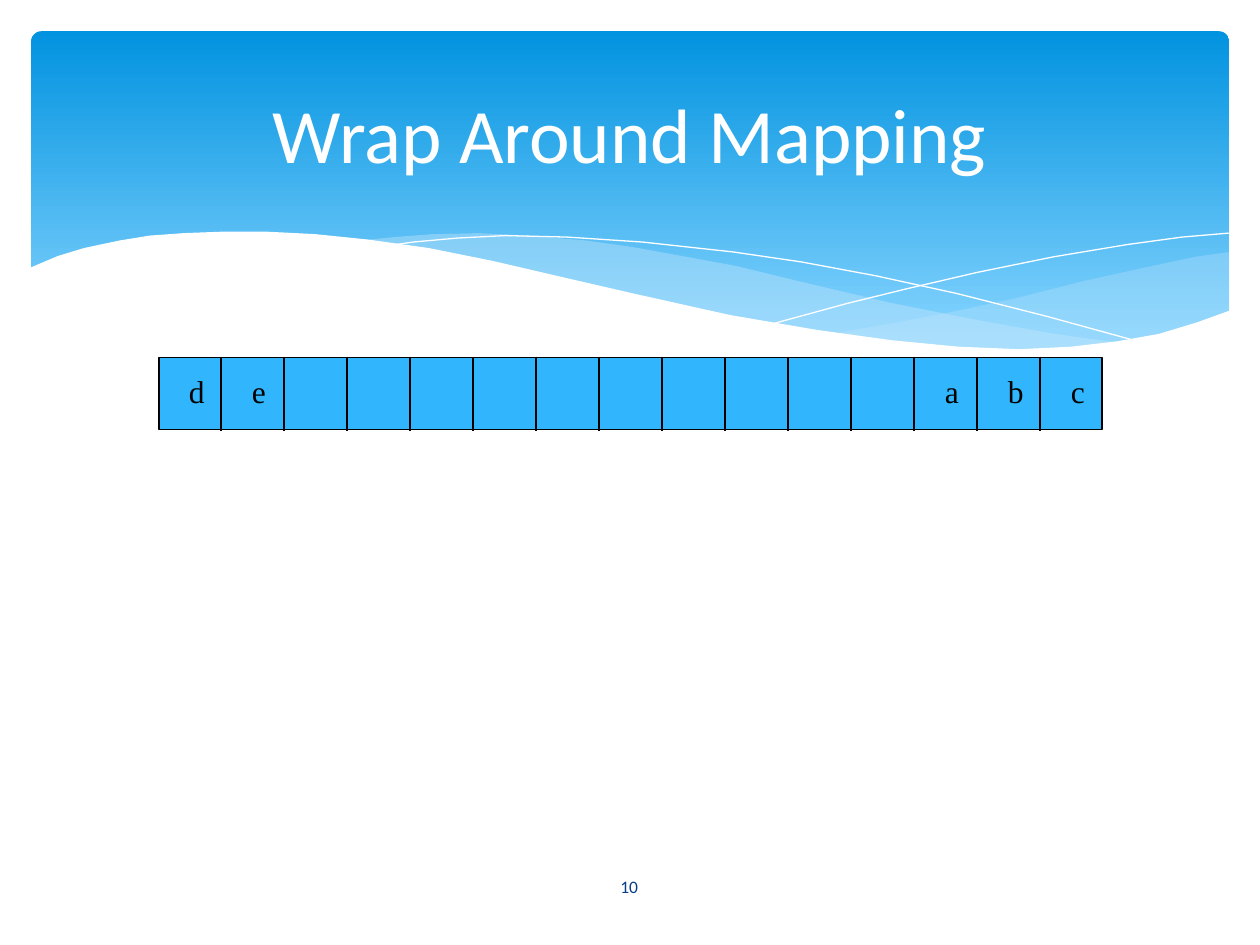
"""Build the slide on wrap around mapping of a queue onto a circular array."""
from dataclasses import dataclass
from typing import Optional

from lxml.etree import SubElement
from pptx import Presentation
from pptx.dml.color import RGBColor
from pptx.enum.shapes import MSO_CONNECTOR, MSO_SHAPE
from pptx.enum.text import MSO_ANCHOR, MSO_AUTO_SIZE, PP_ALIGN
from pptx.oxml.ns import qn
from pptx.shapes.base import BaseShape
from pptx.slide import Slide
from pptx.util import Cm, Pt

WHITE = RGBColor(0xFF, 0xFF, 0xFF)
BLACK = RGBColor(0x00, 0x00, 0x00)
BANNER_TOP = RGBColor(0x02, 0x93, 0xE0)
BANNER_BOTTOM = RGBColor(0x83, 0xD3, 0xFE)
PALE_BLUE = RGBColor(0xC6, 0xE7, 0xFC)
CELL_BLUE = RGBColor(0x31, 0xB6, 0xFD)
NAVY = RGBColor(0x07, 0x3E, 0x87)

CELL_COUNT = 15
CELL_PITCH = 1.27
QUEUE_ITEMS = {12: "a", 13: "b", 14: "c", 0: "d", 1: "e"}


@dataclass(frozen=True)
class Wave:
    points: list[tuple[float, float]]
    fill: Optional[RGBColor] = None
    opacity: int = 100


WAVES = [
    Wave([(24.77, 5.08), (24.08, 5.18), (23.01, 5.41), (21.87, 5.66), (20.45, 6.02),
          (19.13, 6.3), (17.93, 6.53), (16.79, 6.73), (17.55, 6.83), (18.59, 6.96),
          (19.53, 7.04), (20.68, 7.06), (21.69, 7.01), (22.58, 6.91), (23.39, 6.73),
          (24.1, 6.53), (24.79, 6.27), (24.79, 5.08)], PALE_BLUE, 29),
    Wave([(22.68, 6.93), (21.26, 6.73), (19.69, 6.45), (17.93, 6.1), (15.98, 5.64),
          (14.83, 5.36), (13.74, 5.16), (12.75, 4.98), (11.81, 4.85), (10.67, 4.75),
          (9.65, 4.7), (8.74, 4.72), (7.95, 4.78), (7.26, 4.85), (8.69, 5.05),
          (10.26, 5.36), (11.4, 5.64), (12.47, 5.89), (14.38, 6.3), (16.1, 6.63),
          (17.65, 6.86), (19, 7.01), (20.22, 7.06), (21.29, 7.06), (22.25, 6.99)],
         PALE_BLUE, 40),
    Wave([(7.85, 4.95), (8.33, 4.88), (9.22, 4.8), (10.19, 4.75), (11.43, 4.78),
          (12.95, 4.88), (14.78, 5.08), (16.15, 5.28), (17.65, 5.56), (19.3, 5.92),
          (21.11, 6.38), (23.04, 6.91)]),
    Wave([(15.57, 6.53), (17.07, 6.12), (18.29, 5.82), (19.71, 5.49), (21.23, 5.18),
          (22.73, 4.93), (23.83, 4.78), (24.77, 4.7)]),
    Wave([(24.82, 6.25), (24.13, 6.5), (23.37, 6.73), (22.53, 6.88), (21.59, 6.99),
          (20.55, 7.04), (19.33, 6.99), (17.98, 6.86), (16.46, 6.65), (14.71, 6.35),
          (12.78, 5.92), (11.35, 5.59), (9.93, 5.26), (8.64, 5), (7.42, 4.83),
          (6.35, 4.72), (5.36, 4.67), (4.5, 4.67), (3.71, 4.7), (3.02, 4.75),
          (2.41, 4.85), (1.7, 5), (1.17, 5.16), (0.58, 5.41), (0.58, 8.36),
          (24.82, 8.36)], WHITE),
]


def draw_banner(slide: Slide) -> None:
    banner = slide.shapes.add_shape(
        MSO_SHAPE.ROUNDED_RECTANGLE, Cm(0.63), Cm(0.63), Cm(24.15), Cm(6.86))
    banner.adjustments[0] = 0.03
    banner.shadow.inherit = False
    banner.line.fill.background()
    banner.fill.gradient()
    banner.fill.gradient_angle = 270
    top, bottom = banner.fill.gradient_stops
    top.color.rgb, top.position = BANNER_TOP, 0
    bottom.color.rgb, bottom.position = BANNER_BOTTOM, 0.9


def draw_wave(slide: Slide, wave: Wave) -> None:
    start, *rest = [(Cm(x), Cm(y)) for x, y in wave.points]
    builder = slide.shapes.build_freeform(*start)
    builder.add_line_segments(rest, close=wave.fill is not None)
    curve = builder.convert_to_shape()
    curve.shadow.inherit = False
    if wave.fill is None:
        curve.fill.background()
        curve.line.color.rgb = WHITE
        curve.line.width = Pt(0)
        return
    curve.line.fill.background()
    curve.fill.solid()
    curve.fill.fore_color.rgb = wave.fill
    if wave.opacity < 100:
        color = curve.fill._xPr.find(qn("a:solidFill"))[0]
        SubElement(color, qn("a:alpha"), val=str(wave.opacity * 1000))


def write(shape: BaseShape, wording: str, font: str, size: int, color: RGBColor,
          align: PP_ALIGN = PP_ALIGN.CENTER) -> None:
    shape.text_frame.text = wording
    paragraph = shape.text_frame.paragraphs[0]
    paragraph.alignment = align
    run = paragraph.runs[0]
    run.font.name, run.font.size, run.font.color.rgb = font, Pt(size), color


def place_title(slide: Slide, wording: str) -> None:
    title = slide.shapes.title
    title.left, title.top, title.width, title.height = Cm(1.27), Cm(0.94), Cm(22.86), Cm(3.48)
    write(title, wording, "Calibri", 44, WHITE)
    title.text_frame.vertical_anchor = MSO_ANCHOR.MIDDLE
    slide.shapes._spTree.append(title._element)


def draw_array(slide: Slide) -> None:
    array = slide.shapes.add_shape(
        MSO_SHAPE.RECTANGLE, Cm(3.2), Cm(7.21), Cm(19.02), Cm(1.45))
    array.shadow.inherit = False
    array.fill.solid()
    array.fill.fore_color.rgb = CELL_BLUE
    array.line.color.rgb = BLACK
    array.line.width = Pt(1)
    for index in range(1, CELL_COUNT):
        x = Cm(3.18 + index * CELL_PITCH)
        separator = slide.shapes.add_connector(
            MSO_CONNECTOR.STRAIGHT, x, Cm(7.19), x, Cm(8.69))
        separator.line.color.rgb = BLACK
        separator.line.width = Pt(1)
        SubElement(separator._element.spPr, qn("a:effectLst"))
    for index, item in QUEUE_ITEMS.items():
        label = slide.shapes.add_textbox(
            Cm(3.56 + index * CELL_PITCH), Cm(7.37), Cm(0.9), Cm(1.27))
        label.text_frame.word_wrap = False
        label.text_frame.auto_size = MSO_AUTO_SIZE.SHAPE_TO_FIT_TEXT
        write(label, item, "Times New Roman", 18, BLACK, PP_ALIGN.LEFT)


def place_page_number(slide: Slide, number: int) -> None:
    page = slide.shapes.add_textbox(Cm(11.07), Cm(17.37), Cm(3.23), Cm(1.02))
    page.text_frame.word_wrap = True
    page.text_frame.vertical_anchor = MSO_ANCHOR.MIDDLE
    write(page, str(number), "Calibri", 10, NAVY)


def main() -> None:
    deck = Presentation()
    deck.slide_width, deck.slide_height = Cm(25.4), Cm(19.05)
    slide = deck.slides.add_slide(deck.slide_layouts[5])
    draw_banner(slide)
    for wave in WAVES:
        draw_wave(slide, wave)
    place_title(slide, "Wrap Around Mapping")
    draw_array(slide)
    place_page_number(slide, 10)
    deck.save("out.pptx")


if __name__ == "__main__":
    main()
